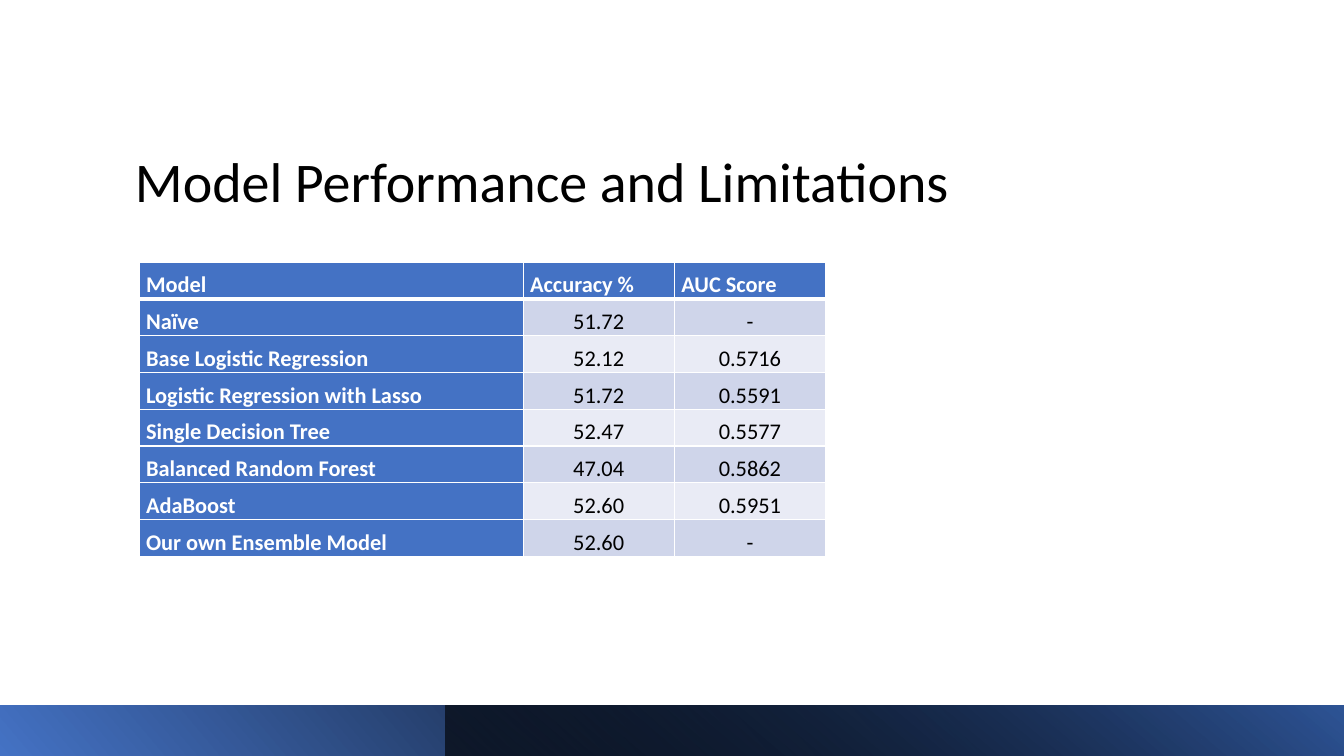
from lxml.etree import SubElement as Sub
from pptx import Presentation
from pptx.dml.color import RGBColor as RGB
from pptx.enum.shapes import MSO_SHAPE as SHAPE
from pptx.enum.text import MSO_ANCHOR as ANCHOR, PP_ALIGN as ALIGN
from pptx.oxml.ns import qn
from pptx.util import Inches, Pt

BLUE = RGB(0x44, 0x72, 0xC4)
NAVY = RGB(0x2F, 0x55, 0x97)
BAND = RGB(0xCF, 0xD5, 0xEA)
PALE = RGB(0xE9, 0xEB, 0xF5)
WHITE = RGB(0xFF, 0xFF, 0xFF)
BLACK = RGB(0, 0, 0)

MODELS = [
    ("Model", "Accuracy %", "AUC Score"),
    ("Naïve", "51.72", "-"),
    ("Base Logistic Regression", "52.12", "0.5716"),
    ("Logistic Regression with Lasso", "51.72", "0.5591"),
    ("Single Decision Tree", "52.47", "0.5577"),
    ("Balanced Random Forest", "47.04", "0.5862"),
    ("AdaBoost", "52.60", "0.5951"),
    ("Our own Ensemble Model", "52.60", "-"),
]


class Deck:
    font = "Calibri"
    cols, rows = 160, 90

    def __init__(self):
        self.prs = Presentation()
        self.prs.slide_width = Inches(13.33)
        self.prs.slide_height = Inches(7.5)
        self.slide = self.prs.slides.add_slide(self.prs.slide_layouts[6])

    def wide(self, n):
        return round(self.prs.slide_width * n / self.cols)

    def high(self, n):
        return round(self.prs.slide_height * n / self.rows)

    def box(self, x, y, w, h):
        return self.wide(x), self.high(y), self.wide(w), self.high(h)

    def label(self, frame, text, size, color, bold=False, align=ALIGN.LEFT, space=1.0):
        para = frame.paragraphs[0]
        para.alignment = align
        para.line_spacing = space
        run = para.add_run()
        run.text = text
        run.font.name = self.font
        run.font.size = Pt(size)
        run.font.bold = bold
        run.font.color.rgb = color

    def title(self, text, *area):
        frame = self.slide.shapes.add_textbox(*self.box(*area)).text_frame
        frame.word_wrap = True
        frame.vertical_anchor = ANCHOR.BOTTOM
        self.label(frame, text, 40, BLACK, space=0.9)

    def edge(self, cell, top, base):
        props = cell._tc.get_or_add_tcPr()
        for side, width in (("L", 1), ("R", 1), ("T", top), ("B", base)):
            line = Sub(props, qn(f"a:ln{side}"), w=str(Pt(width)))
            fill = Sub(line, qn("a:solidFill"))
            Sub(fill, qn("a:srgbClr"), val=str(WHITE))

    def table(self, data, x, y, widths, height):
        area = self.box(x, y, sum(widths), height * len(data))
        grid = self.slide.shapes.add_table(len(data), len(widths), *area).table
        for col, width in zip(grid.columns, widths):
            col.width = self.wide(width)
        for r, items in enumerate(data):
            grid.rows[r].height = self.high(height)
            for c, text in enumerate(items):
                cell = grid.cell(r, c)
                head = r == 0 or c == 0
                self.edge(cell, 3 if r == 1 else 1, 3 if r == 0 else 1)
                cell.fill.solid()
                cell.fill.fore_color.rgb = BLUE if head else BAND if r % 2 else PALE
                cell.vertical_anchor = ANCHOR.BOTTOM
                cell.margin_left = cell.margin_right = Inches(0.07)
                cell.margin_top = cell.margin_bottom = 0
                self.label(cell.text_frame, text, 16, WHITE if head else BLACK, head,
                           ALIGN.LEFT if head else ALIGN.CENTER, 1.07)

    def bar(self, area, stops, angle, turn=0):
        shape = self.slide.shapes.add_shape(SHAPE.RECTANGLE, *self.box(*area))
        shape.shadow.inherit = False
        shape.line.fill.background()
        shape.rotation = turn
        shape._element.spPr.xfrm.set("flipH", "1")
        shape.fill.gradient()
        shape.fill.gradient_angle = 360 - angle
        for stop, (place, color, alpha) in zip(shape.fill.gradient_stops, stops):
            stop.position = place
            stop.color.rgb = color
            if alpha < 100:
                tone = stop._gs.find(qn("a:srgbClr"))
                Sub(tone, qn("a:alpha"), val=str(alpha * 1000))


def main():
    deck = Deck()
    deck.title("Model Performance and Limitations", 14.88, 4.56, 127.2, 21.6)
    deck.table(MODELS, 16.56, 31.2, (45.72, 18, 18), 4.38)
    deck.bar((0, 84, 160, 6), ((0, BLUE, 100), (0.78, BLACK, 100)), 40, 180)
    deck.bar((53, 84, 107, 6), ((0, BLACK, 63), (1, NAVY, 100)), 230)
    deck.prs.save("out.pptx")


if __name__ == "__main__":
    main()
